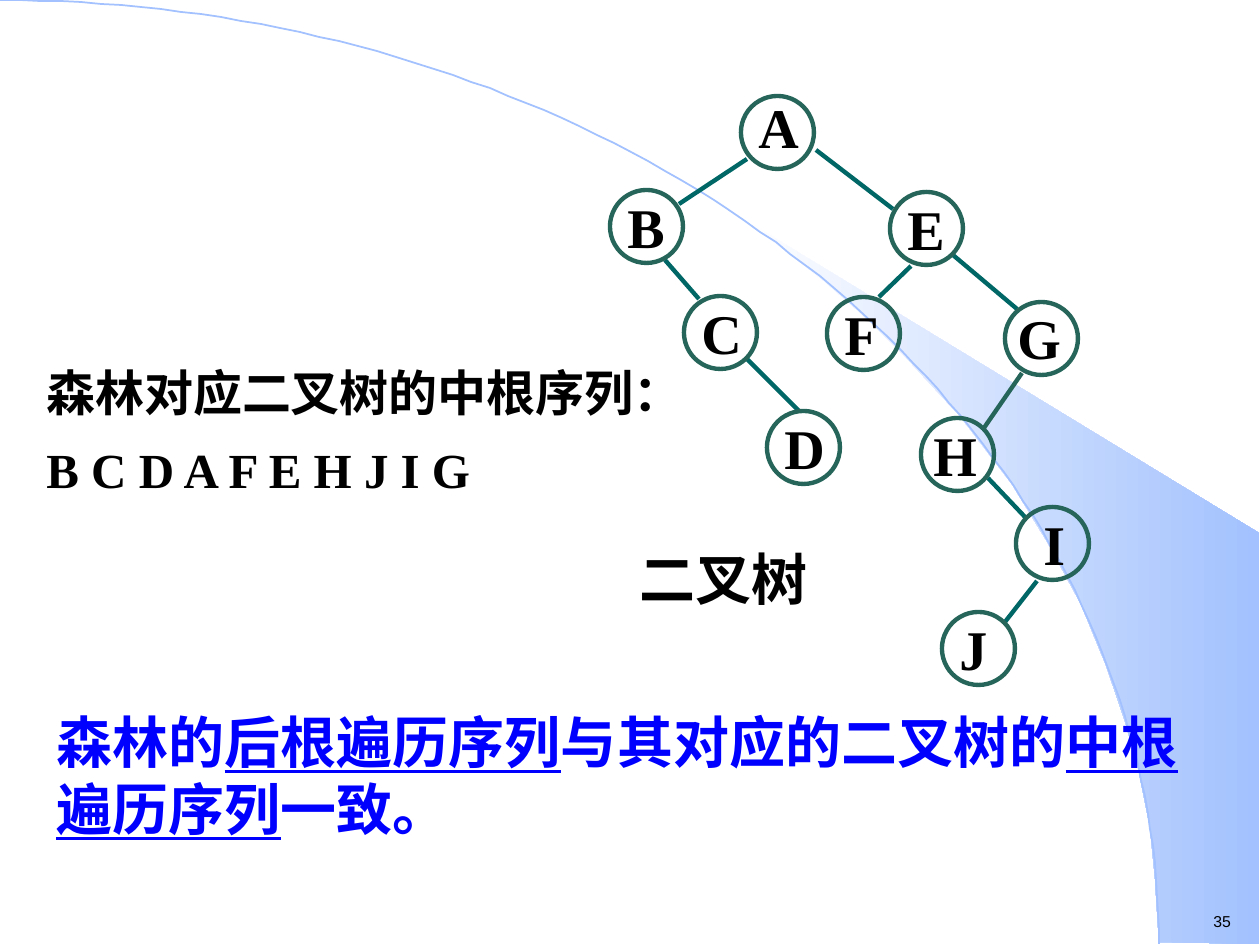
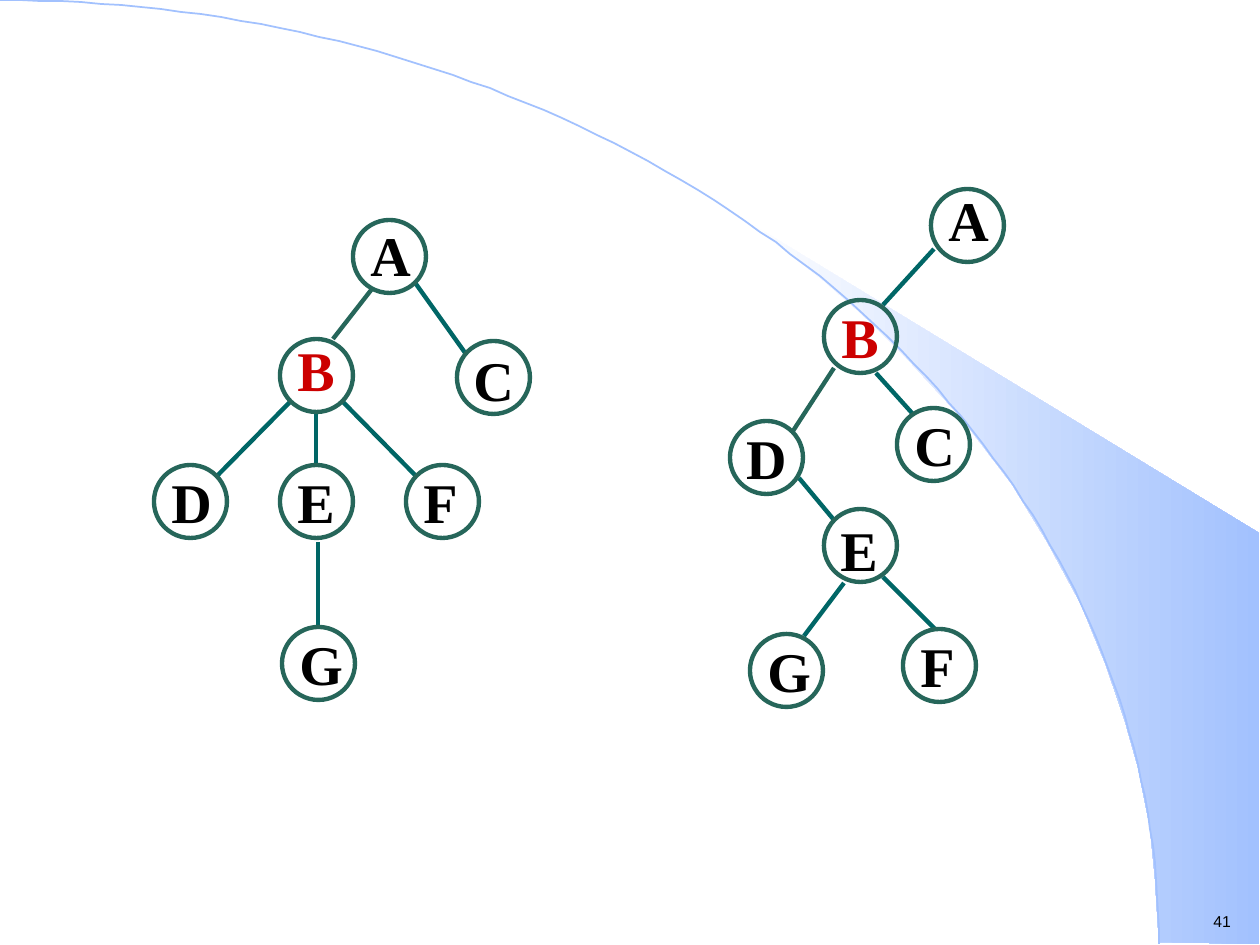
from math import cos, pi, sin

from lxml.etree import SubElement
from pptx import Presentation
from pptx.dml.color import RGBColor
from pptx.enum.shapes import MSO_CONNECTOR, MSO_SHAPE
from pptx.enum.text import MSO_AUTO_SIZE, PP_ALIGN
from pptx.oxml.ns import qn
from pptx.util import Pt

PX = 914400 // 126
PAGE_WIDTH, PAGE_HEIGHT = 1260, 945
RING = 73
LABEL = {"shift": (5, -10), "spacing": 1.1, "color": "ink", "align": PP_ALIGN.LEFT}

THEME = {
    "ink": "000000", "red": "CC0000", "blue": "0000FF",
    "ring": "26665A", "edge": "006666", "band": "A2C1FE", "paper": "FFFFFF",
    "serif": "Times New Roman", "sans": "Cabin", "footer": "Arial",
    "large": 32, "medium": 28, "small": 9, "stroke": 2.5, "thin": 1,
}

BAND = [
    (1159, 942), (1259, 944), (1259, 533), (742, 218), (786, 251), (823, 280),
    (863, 315), (902, 353), (960, 416), (1012, 484), (1048, 543), (1081, 604),
    (1106, 665), (1125, 721), (1138, 767), (1150, 827), (1155, 877),
]
ARC_WIDTH, ARC_HEIGHT, ARC_STEPS = 1159, 944, 90

PLAIN = {"spacing": 1.0}
RED = {"spacing": 1.0, "color": "red"}

BINARY_TREE = {
    "nodes": [
        ("A", 741, 96, PLAIN),
        ("B", 610, 190, {}),
        ("C", 684, 296, {}),
        ("D", 767, 411, {}),
        ("E", 890, 192, {}),
        ("F", 827, 297, {}),
        ("G", 1005, 302, {"spacing": 1.0, "shift": (0, -5)}),
        ("H", 921, 418, {"shift": (0, -10)}),
        ("I", 1016, 507, {"shift": (15, -10)}),
        ("J", 942, 612, {}),
    ],
    "edges": [
        (747, 159, 679, 204, "edge"),
        (816, 150, 893, 209, "edge"),
        (665, 260, 699, 299, "edge"),
        (747, 359, 799, 411, "edge"),
        (911, 266, 879, 297, "edge"),
        (953, 255, 1017, 309, "edge"),
        (1022, 373, 984, 428, "ring"),
        (988, 478, 1026, 518, "edge"),
        (1037, 581, 1005, 622, "edge"),
    ],
}

SOURCE_TREE = {
    "nodes": [
        ("A", 353, 220, {"spacing": 1.0, "shift": (5, -6)}),
        ("B", 280, 339, RED),
        ("C", 457, 341, {"shift": (4, -8)}),
        ("D", 154, 465, {}),
        ("E", 280, 465, {}),
        ("F", 406, 465, {}),
        ("G", 282, 627, {}),
    ],
    "edges": [
        (372, 289, 333, 339, "ring"),
        (416, 284, 466, 354, "edge"),
        (290, 402, 217, 476, "edge"),
        (316, 413, 316, 465, "edge"),
        (343, 402, 416, 476, "edge"),
        (318, 542, 318, 626, "edge"),
    ],
}

CONVERTED_TREE = {
    "nodes": [
        ("A", 931, 189, PLAIN),
        ("B", 824, 300, {"color": "red"}),
        ("C", 897, 408, {}),
        ("D", 730, 421, {"shift": (0, -10), "align": PP_ALIGN.CENTER}),
        ("E", 824, 509, {"shift": (4, -6)}),
        ("F", 903, 629, {}),
        ("G", 750, 634, {}),
    ],
    "edges": [
        (934, 249, 883, 305, "edge"),
        (876, 373, 912, 413, "edge"),
        (834, 368, 793, 431, "ring"),
        (799, 478, 834, 520, "edge"),
        (844, 583, 804, 636, "edge"),
        (883, 577, 935, 629, "edge"),
    ],
}

SERIF = {"font": "serif", "size": "large", "color": "ink", "bold": True}
ORDER = {**SERIF, "size": "medium"}
CONCLUSION = {**SERIF, "font": "sans", "color": "blue"}
FOOTER = {"font": "footer", "size": "small", "color": "ink", "bold": False}

PAGES = [
    {
        "number": "35",
        "trees": [BINARY_TREE],
        "texts": [
            ((34, 363, 689, 152),
             [[("森林对应二叉树的中根序列：", False)], [("B C D A F E H J I G", False)]],
             ORDER, {"line_spacing": 0.9, "alignment": PP_ALIGN.JUSTIFY}),
            ((627, 538, 231, 79), [[("二叉树", False)]], SERIF, {}),
            ((44, 701, 1150, 147),
             [[("森林的", False), ("后根遍历序列", True), ("与其对应的二叉树的", False),
               ("中根遍历序列", True), ("一致。", False)]],
             CONCLUSION, {}),
        ],
    },
    {"number": "41", "trees": [SOURCE_TREE, CONVERTED_TREE], "texts": []},
]


def assign(target, values):
    for name, value in values.items():
        setattr(target, name, value)


def rgb(name):
    return RGBColor.from_string(THEME[name])


def scaled(*lengths):
    return [length * PX for length in lengths]


def set_line(shape, color, width):
    shape.line.color.rgb = rgb(color)
    shape.line.width = Pt(THEME[width])


def add_text(page, place, paragraphs, style, layout, wrap=True):
    box = page.shapes.add_textbox(*scaled(*place))
    frame = box.text_frame
    assign(frame, {"word_wrap": wrap, "auto_size": MSO_AUTO_SIZE.NONE})
    for index, spans in enumerate(paragraphs):
        para = frame.paragraphs[0] if index == 0 else frame.add_paragraph()
        assign(para, layout)
        if index:
            para.space_before = Pt(THEME[style["size"]] / 2)
        for words, underlined in spans:
            span = para.add_run()
            span.text = words
            assign(span.font, {
                "name": THEME[style["font"]],
                "size": Pt(THEME[style["size"]]),
                "bold": style["bold"],
                "underline": underlined,
            })
            span.font.color.rgb = rgb(style["color"])


def add_outline(page, points, close):
    builder = page.shapes.build_freeform(*points[0], scale=PX)
    builder.add_line_segments(points[1:], close=close)
    outline = builder.convert_to_shape()
    outline.shadow.inherit = False
    return outline


def add_background(page):
    band = add_outline(page, BAND, True)
    band.line.fill.background()
    band.fill.gradient()
    band.fill.gradient_angle = 0
    for stop, color, position in zip(band.fill.gradient_stops, ("paper", "band"), (0, 1)):
        stop.color.rgb = rgb(color)
        stop.position = position

    angles = [pi / 2 * step / ARC_STEPS for step in range(ARC_STEPS + 1)]
    curve = [(ARC_WIDTH * sin(angle), ARC_HEIGHT * (1 - cos(angle))) for angle in angles]
    arc = add_outline(page, curve, False)
    arc.fill.background()
    set_line(arc, "band", "thin")


def add_edge(page, x1, y1, x2, y2, color):
    edge = page.shapes.add_connector(MSO_CONNECTOR.STRAIGHT, *scaled(x1, y1, x2, y2))
    set_line(edge, color, "stroke")
    SubElement(edge._element.spPr, qn("a:effectLst"))


def add_node(page, letter, x, y, changes):
    ring = page.shapes.add_shape(MSO_SHAPE.OVAL, *scaled(x, y, RING, RING))
    ring.shadow.inherit = False
    ring.fill.background()
    set_line(ring, "ring", "stroke")

    label = {**LABEL, **changes}
    dx, dy = label["shift"]
    height = 87 if label["spacing"] > 1 else 79
    add_text(page, (x + dx, y + dy, RING, height), [[(letter, False)]],
             {**SERIF, "color": label["color"]},
             {"line_spacing": label["spacing"], "alignment": label["align"]})


def add_tree(page, tree):
    for edge in tree["edges"]:
        add_edge(page, *edge)
    for node in tree["nodes"]:
        add_node(page, *node)


def main():
    deck = Presentation()
    assign(deck, {"slide_width": PAGE_WIDTH * PX, "slide_height": PAGE_HEIGHT * PX})
    for content in PAGES:
        page = deck.slides.add_slide(deck.slide_layouts[6])
        add_background(page)
        add_text(page, (1201, 906, 44, 32), [[(content["number"], False)]], FOOTER, {}, wrap=False)
        for tree in content["trees"]:
            add_tree(page, tree)
        for text in content["texts"]:
            add_text(page, *text)
    deck.save("out.pptx")


if __name__ == "__main__":
    main()
